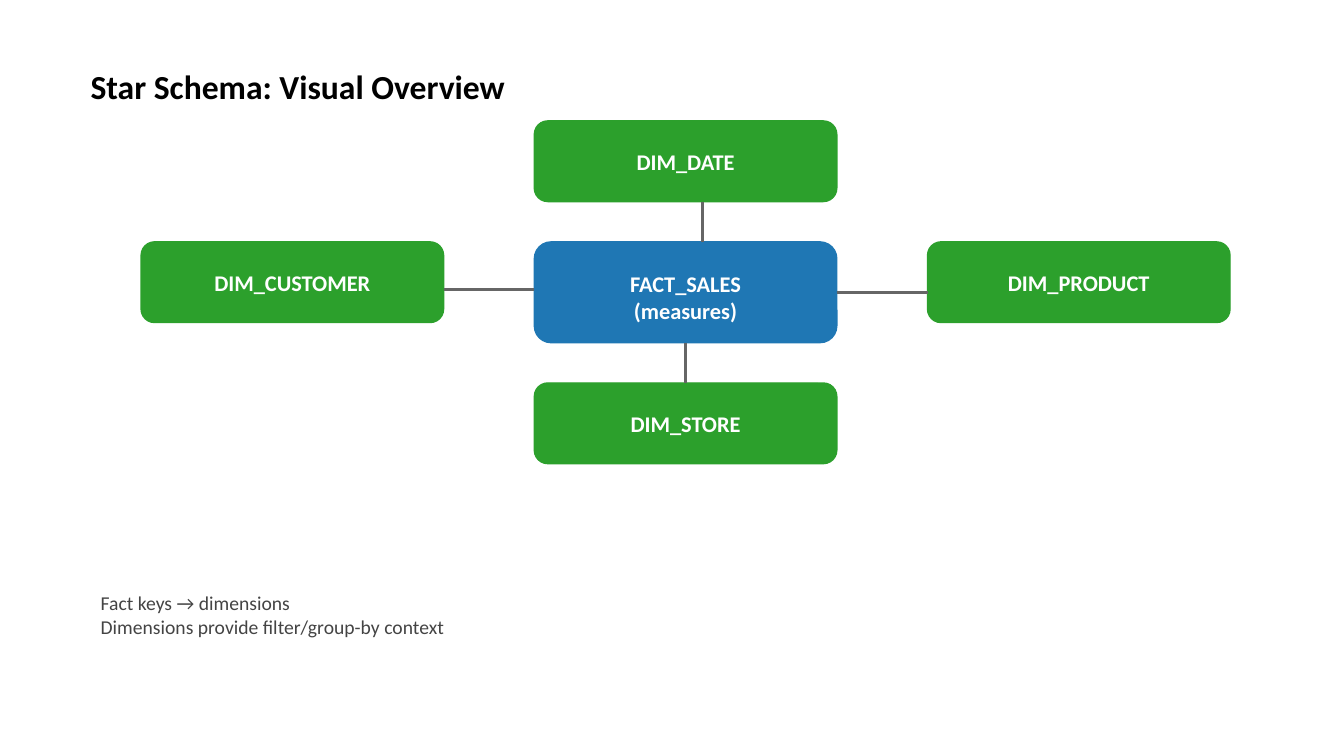
from pptx import Presentation
from pptx.dml.color import RGBColor
from pptx.enum.shapes import MSO_CONNECTOR, MSO_SHAPE
from pptx.enum.text import MSO_ANCHOR, PP_ALIGN
from pptx.oxml.ns import qn
from pptx.util import Inches, Pt

ROUND = MSO_SHAPE.ROUNDED_RECTANGLE
LINE = MSO_CONNECTOR.STRAIGHT
MIDDLE = MSO_ANCHOR.MIDDLE
LEFT, CENTER = PP_ALIGN.LEFT, PP_ALIGN.CENTER
BOTTOM_SIDE, RIGHT_SIDE, TOP_SIDE = 2, 3, 0

FONT = "Calibri"
COLORS = {
    "title": "000000",
    "fact": "1F77B4",
    "dim": "2CA02C",
    "label": "FFFFFF",
    "link": "666666",
    "note": "444444",
}
WIDTH = 3
DIM_HIGH, FACT_HIGH = 0.8, 1
MID_X, MID_Y = 5.3, 2.4
DIMS = [
    ("DIM_DATE", MID_X, 1.2),
    ("DIM_CUSTOMER", 1.4, MID_Y),
    ("DIM_PRODUCT", 9.2, MID_Y),
    ("DIM_STORE", MID_X, 3.8),
]


def color(name):
    return RGBColor.from_string(COLORS[name])


def write(shape, text, size, tint, bold=False, align=LEFT):
    frame = shape.text_frame
    frame.word_wrap = True
    frame.vertical_anchor = MIDDLE
    frame.text = text
    for para in frame.paragraphs:
        para.alignment = align
        for run in para.runs:
            font = run.font
            font.name, font.size, font.bold = FONT, Pt(size), bold
            font.color.rgb = color(tint)


def add_text(slide, text, left, top, high, size, tint, bold=False):
    box = slide.shapes.add_textbox(
        Inches(left), Inches(top), Inches(12), Inches(high))
    write(box, text, size, tint, bold)


def add_entity(slide, text, left, top, high, fill):
    """Draw one table of the schema as a labelled rounded box."""
    box = slide.shapes.add_shape(
        ROUND, Inches(left), Inches(top), Inches(WIDTH), Inches(high))
    box.shadow.inherit = False
    box.fill.solid()
    box.fill.fore_color.rgb = color(fill)
    box.line.color.rgb = color(fill)
    box.line.width = Pt(1)
    write(box, text, 16, "label", True, CENTER)
    return box


def add_link(slide, x1, y1, x2, y2):
    link = slide.shapes.add_connector(
        LINE, Inches(x1), Inches(y1), Inches(x2), Inches(y2))
    link.line.color.rgb = color("link")
    link.line.width = Pt(2)
    props = link._element.spPr
    props.append(props.makeelement(qn("a:effectLst"), {}))
    return link


def main():
    deck = Presentation()
    deck.slide_width, deck.slide_height = Inches(13.33), Inches(7.5)
    slide = deck.slides.add_slide(deck.slide_layouts[6])

    add_text(slide, "Star Schema: Visual Overview",
             0.8, 0.6, 0.5, 24, "title", True)

    fact = add_entity(slide, "FACT_SALES\n(measures)",
                      MID_X, MID_Y, FACT_HIGH, "fact")
    fact.text_frame.margin_top = Inches(0.15)
    dims = {name: add_entity(slide, name, left, top, DIM_HIGH, "dim")
            for name, left, top in DIMS}

    add_link(slide, 6.97, 2, 6.97, 2.4)
    add_link(slide, 4.4, 2.87, 5.3, 2.87)
    product = add_link(slide, 8.3, 2.9, 9.2, 2.9)
    product.begin_connect(fact, RIGHT_SIDE)
    store = add_link(slide, 6.8, 3.4, 6.8, 3.8)
    store.begin_connect(fact, BOTTOM_SIDE)
    store.end_connect(dims["DIM_STORE"], TOP_SIDE)

    add_text(slide, "Fact keys → dimensions\n"
             "Dimensions provide filter/group-by context",
             0.9, 5.7, 0.8, 14, "note")
    deck.save("out.pptx")


if __name__ == "__main__":
    main()
